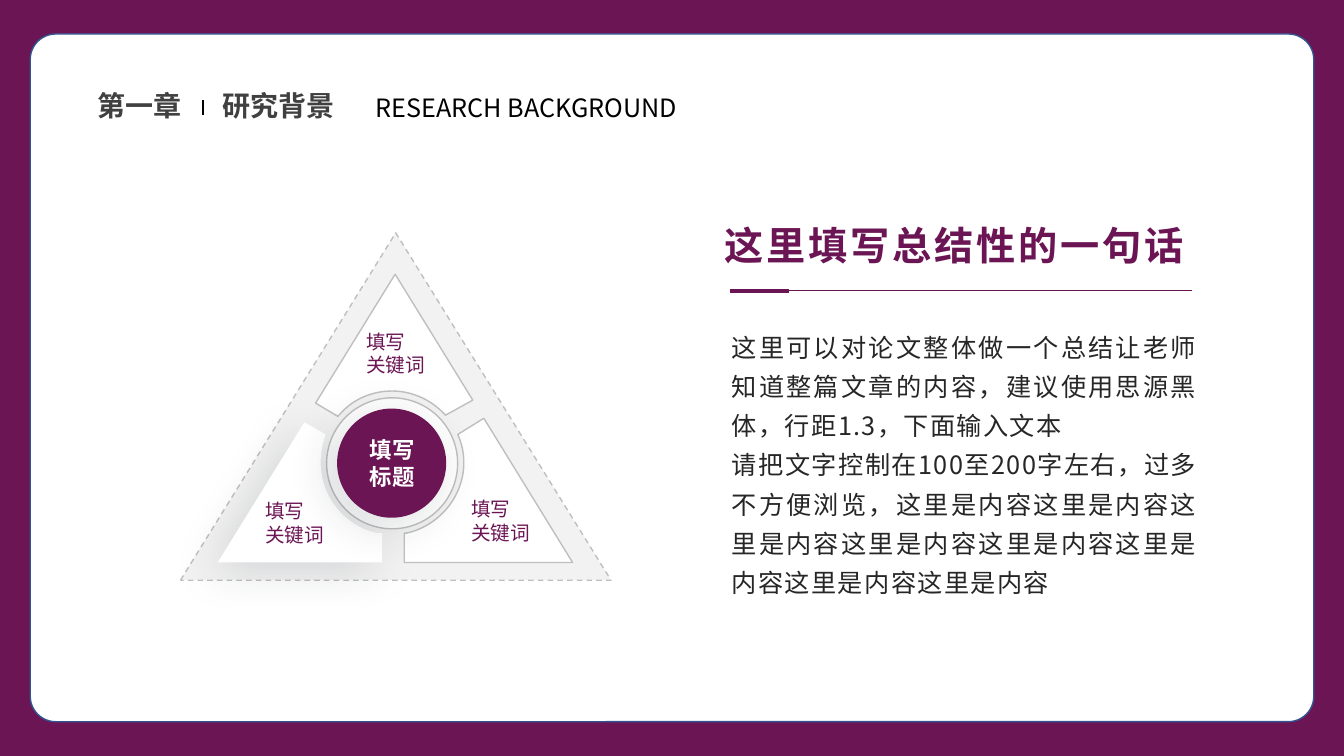
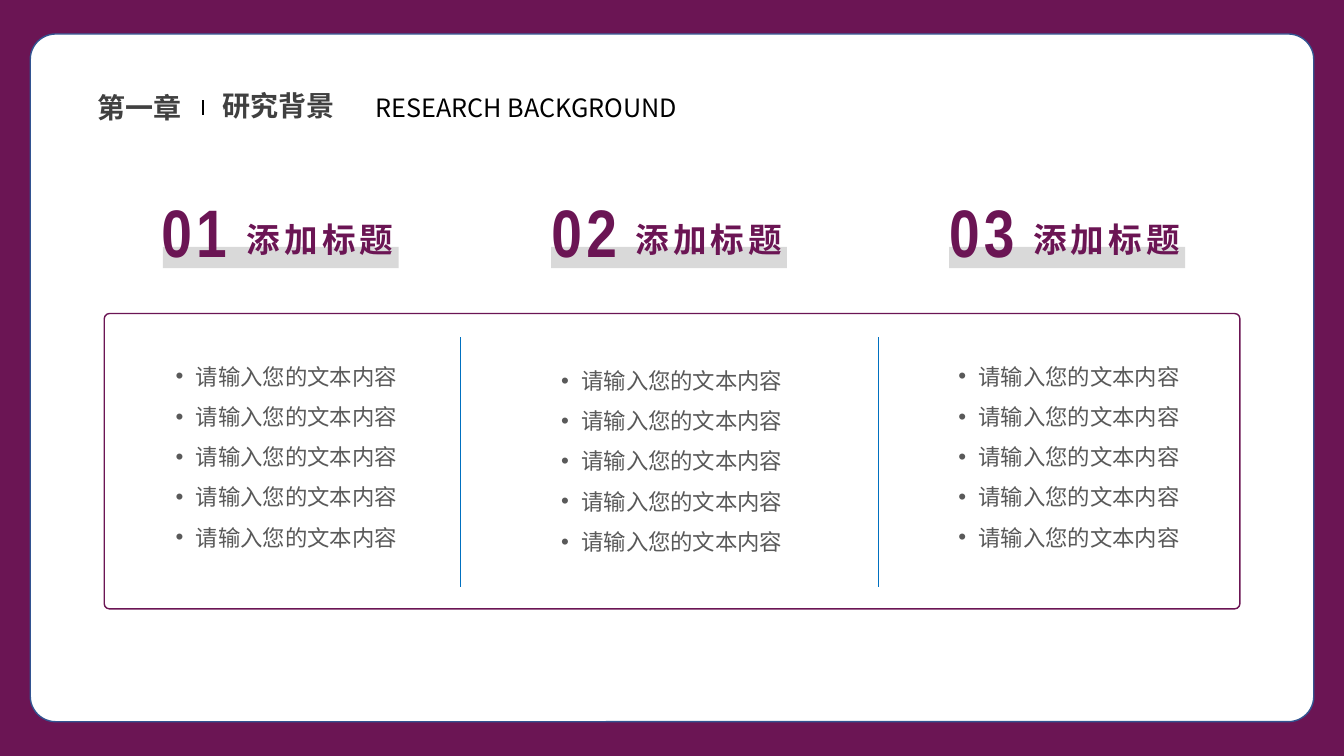
from dataclasses import dataclass
from typing import NamedTuple

from lxml.etree import SubElement
from pptx import Presentation
from pptx.dml.color import RGBColor
from pptx.enum.dml import MSO_LINE_DASH_STYLE as Dash
from pptx.enum.shapes import MSO_CONNECTOR, MSO_SHAPE as Preset
from pptx.enum.text import MSO_AUTO_SIZE as AutoSize, PP_ALIGN as Align
from pptx.oxml.ns import qn
from pptx.util import Inches, Pt

WIDTH, HEIGHT = Inches(13.33), Inches(7.5)
PLUM, WHITE, BLACK, BLUE = "6B1554", "FFFFFF", "000000", "0070C0"
CARD_LINE, LIGHT, SILVER, BAND = "325491", "F2F2F2", "BFBFBF", "D9D9D9"
CHARCOAL, INK, GRAY, SHADOW = "404040", "262626", "595959", "222A35"
SANS, NARROW = "Noto Sans CJK SC", "Arial Narrow"


class Point(NamedTuple):
    """A place in percent of the slide's width and height."""
    x: float
    y: float


class Curve(NamedTuple):
    """A Bezier segment: two control points and its end."""
    leave: Point
    arrive: Point
    end: Point


class Box(NamedTuple):
    """A frame in percent of the slide's width and height."""
    left: float
    top: float
    width: float
    height: float


@dataclass(frozen=True)
class TextStyle:
    size: float
    color: str
    bold: bool = False
    font: str = SANS
    spacing: float = 0
    line_spacing: float = 1
    align: Align = Align.LEFT
    bullet: bool = False
    wrap: bool = False
    margins: bool = True


@dataclass(frozen=True)
class Wedge:
    start: Point
    segments: tuple[Point | Curve, ...]
    outlined: bool = True


@dataclass(frozen=True)
class Column:
    number: str
    number_left: float
    title_left: float
    band_left: float
    list_left: float
    list_top: float


CHAPTER = TextStyle(20, CHARCOAL, bold=True)
ENGLISH = TextStyle(18, BLACK, align=Align.JUSTIFY, wrap=True)
HUB = TextStyle(16, WHITE, bold=True, align=Align.JUSTIFY)
KEYWORD = TextStyle(14, PLUM)
SUMMARY = TextStyle(28, PLUM, bold=True, spacing=2, wrap=True)
BODY = TextStyle(18, INK, spacing=1, line_spacing=1.3, align=Align.JUSTIFY, wrap=True)
NUMBER = TextStyle(48, PLUM, bold=True, font=NARROW, spacing=3, margins=False)
COLUMN_TITLE = TextStyle(24, PLUM, bold=True, spacing=3, margins=False)
BULLETS = TextStyle(16, GRAY, line_spacing=1.5, align=Align.CENTER,
                    bullet=True, wrap=True, margins=False)

WEDGES = (
    Wedge(Point(29.4, 36.27), (
        Point(35.18, 52.93), Point(33.15, 54.93), Point(32.93, 54.53),
        Curve(Point(31.96, 52.8), Point(30.61, 51.73), Point(29.18, 51.73)),
        Curve(Point(27.68, 51.73), Point(26.33, 52.8), Point(25.43, 54.53)),
        Point(25.13, 55.07), Point(23.48, 53.33))),
    Wedge(Point(22.65, 55.87), (
        Point(24.23, 57.47),
        Curve(Point(24, 58.67), Point(23.86, 59.87), Point(23.86, 61.2)),
        Curve(Point(23.86, 65.73), Point(25.66, 69.6), Point(28.06, 70.53)),
        Point(28.43, 70.53), Point(28.43, 74.4), Point(16.2, 74.4)), outlined=False),
    Wedge(Point(36, 55.33), (
        Point(42.6, 74.4), Point(30.08, 74.4), Point(30.08, 70.53), Point(30.23, 70.53),
        Curve(Point(32.63, 69.6), Point(34.51, 65.73), Point(34.51, 61.2)),
        Curve(Point(34.51, 59.87), Point(34.36, 58.67), Point(34.06, 57.47)))),
)
KEYWORD_PLACES = (Point(26.5, 42.95), Point(34.32, 65.12), Point(19.01, 65.38))
BODY_TEXT = (
    "这里可以对论文整体做一个总结让老师知道整篇文章的内容，建议使用思源黑体，行距1.3，下面输入文本",
    "请把文字控制在100至200字左右，过多不方便浏览，" + "这里是内容" * 8,
)
COLUMNS = (
    Column("01", 12, 18.35, 12.12, 10.32, 46.2),
    Column("02", 41.03, 47.28, 41, 39, 46.76),
    Column("03", 70.62, 76.88, 70.63, 68.55, 46.2),
)


def rgb(color: str) -> RGBColor:
    return RGBColor.from_string(color)


def across(share: float) -> int:
    return round(WIDTH * share / 100)


def down(share: float) -> int:
    return round(HEIGHT * share / 100)


def frame(box: Box) -> tuple[int, int, int, int]:
    return across(box.left), down(box.top), across(box.width), down(box.height)


def paint(shape, fill: str, line: str | None = None) -> None:
    shape.shadow.inherit = False
    shape.fill.solid()
    shape.fill.fore_color.rgb = rgb(fill)
    if line:
        shape.line.color.rgb = rgb(line)
        shape.line.width = Pt(1)
    else:
        shape.line.fill.background()


def add_preset(shapes, preset: Preset, box: Box, fill: str,
               line: str | None = None, corner: float | None = None):
    shape = shapes.add_shape(preset, *frame(box))
    paint(shape, fill, line)
    if corner is not None:
        shape.adjustments[0] = corner
    return shape


def cast_shadow(shape) -> None:
    """Give the shape a soft shadow towards the lower left."""
    effects = shape._element.spPr.find(qn("a:effectLst"))
    shadow = SubElement(effects, qn("a:outerShdw"), blurRad=str(Pt(32)),
                        dist=str(Pt(8)), dir=str(135 * 60000), rotWithShape="0")
    color = SubElement(shadow, qn("a:srgbClr"), val=SHADOW)
    SubElement(color, qn("a:alpha"), val="15000")


def add_line(slide, start: Point, end: Point, color: str, weight: float) -> None:
    line = slide.shapes.add_connector(MSO_CONNECTOR.STRAIGHT, across(start.x),
                                      down(start.y), across(end.x), down(end.y))
    line.line.color.rgb = rgb(color)
    line.line.width = Pt(weight)
    SubElement(line._element.spPr, qn("a:effectLst"))


def style_paragraph(paragraph, style: TextStyle) -> None:
    paragraph.alignment = style.align
    paragraph.line_spacing = style.line_spacing
    font = paragraph.font
    font.name, font.size, font.bold = style.font, Pt(style.size), style.bold
    font.color.rgb = rgb(style.color)
    properties = paragraph._p.pPr
    defaults = properties.find(qn("a:defRPr"))
    defaults.set("spc", str(round(style.spacing * 100)))
    SubElement(defaults, qn("a:ea"), typeface=style.font)
    if style.bullet:
        properties.set("marL", str(Inches(0.31)))
        properties.set("indent", str(Inches(-0.2)))
        for tag, attributes in (("a:buFont", {"typeface": "Arial"}),
                                ("a:buChar", {"char": "•"})):
            defaults.addprevious(SubElement(properties, qn(tag), attributes))


def add_text(slide, box: Box, style: TextStyle, *lines: str) -> None:
    text_frame = slide.shapes.add_textbox(*frame(box)).text_frame
    text_frame.word_wrap = style.wrap
    text_frame.auto_size = AutoSize.SHAPE_TO_FIT_TEXT
    if not style.margins:
        text_frame.margin_left = text_frame.margin_right = 0
        text_frame.margin_top = text_frame.margin_bottom = 0
    text_frame.text = "\n".join(lines)
    for paragraph in text_frame.paragraphs:
        style_paragraph(paragraph, style)


def add_base(presentation):
    """Add a blank slide with the plum border and the white card."""
    slide = presentation.slides.add_slide(presentation.slide_layouts[6])
    add_preset(slide.shapes, Preset.RECTANGLE, Box(0, 0, 100, 100), PLUM)
    add_preset(slide.shapes, Preset.ROUNDED_RECTANGLE,
               Box(2.25, 4.5, 95.5, 90.97), WHITE, CARD_LINE, 0.037)
    return slide


def add_header(slide, chapter_top: float = 11.07) -> None:
    add_text(slide, Box(6.53, chapter_top, 7.8, 5.87), CHAPTER, "第一章")
    add_text(slide, Box(15.83, 11.07, 9.9, 5.87), CHAPTER, "研究背景")
    add_text(slide, Box(27.23, 11.6, 30.45, 5.33), ENGLISH, "RESEARCH BACKGROUND")
    add_line(slide, Point(15.08, 13.27), Point(15.08, 15.2), BLACK, 1.5)


def bend(shape, segments: tuple[Point | Curve, ...]) -> None:
    """Turn the straight sides that stand for curves into Bezier segments."""
    sides = list(shape._element.iter(qn("a:lnTo")))
    for side, segment in zip(sides, segments):
        if isinstance(segment, Curve):
            side.tag = qn("a:cubicBezTo")
            side.clear()
            for point in segment:
                SubElement(side, qn("a:pt"), x=str(across(point.x) - shape.left),
                           y=str(down(point.y) - shape.top))


def add_wedge(shapes, wedge: Wedge) -> None:
    corners = [segment.end if isinstance(segment, Curve) else segment
               for segment in wedge.segments]
    builder = shapes.build_freeform(across(wedge.start.x), down(wedge.start.y))
    builder.add_line_segments([(across(corner.x), down(corner.y)) for corner in corners])
    shape = builder.convert_to_shape()
    bend(shape, wedge.segments)
    paint(shape, WHITE, SILVER if wedge.outlined else None)
    if not wedge.outlined:
        cast_shadow(shape)


def add_triangle_diagram(slide) -> None:
    shapes = slide.shapes.add_group_shape().shapes
    triangle = add_preset(shapes, Preset.ISOSCELES_TRIANGLE,
                          Box(13.43, 30.8, 32.03, 45.95), LIGHT, SILVER)
    triangle.line.dash_style = Dash.DASH
    add_preset(shapes, Preset.OVAL, Box(24.3, 52.62, 9.75, 17.33), WHITE, SILVER)
    for wedge in WEDGES:
        add_wedge(shapes, wedge)
    cast_shadow(add_preset(shapes, Preset.OVAL, Box(25.08, 54.04, 8.12, 14.44), PLUM))
    add_text(slide, Box(26.78, 57.07, 4.88, 8.53), HUB, "填写", "标题")
    for place in KEYWORD_PLACES:
        add_text(slide, Box(*place, 5.93, 7.6), KEYWORD, "填写\v关键词")


def build_summary_slide(presentation) -> None:
    slide = add_base(presentation)
    add_header(slide)
    add_triangle_diagram(slide)
    add_text(slide, Box(53.7, 42.04, 36.15, 42.13), BODY, *BODY_TEXT)
    add_line(slide, Point(88.69, 38.4), Point(56.7, 38.4), PLUM, 0.5)
    add_line(slide, Point(58.73, 38.53), Point(54.3, 38.53), PLUM, 3)
    add_text(slide, Box(53.18, 28.6, 40.2, 7.6), SUMMARY, "这里填写总结性的一句话")


def add_column(slide, column: Column) -> None:
    add_text(slide, Box(column.list_left, column.list_top, 21.15, 26.4), BULLETS,
             *["请输入您的文本内容"] * 5)
    add_preset(slide.shapes, Preset.RECTANGLE,
               Box(column.band_left, 32.67, 17.55, 2.8), BAND)
    add_text(slide, Box(column.number_left, 25.13, 5.85, 10.8), NUMBER, column.number)
    add_text(slide, Box(column.title_left, 28.93, 11.33, 5.33), COLUMN_TITLE, "添加标题")


def build_columns_slide(presentation) -> None:
    slide = add_base(presentation)
    add_preset(slide.shapes, Preset.ROUNDED_RECTANGLE,
               Box(7.76, 41.47, 84.5, 39.07), WHITE, PLUM, 0.018)
    for column in COLUMNS:
        add_column(slide, column)
    for divider in (34.28, 65.33):
        add_line(slide, Point(divider, 44.62), Point(divider, 77.6), BLUE, 0.5)
    add_header(slide, chapter_top=11.27)


def main() -> None:
    presentation = Presentation()
    presentation.slide_width, presentation.slide_height = WIDTH, HEIGHT
    build_summary_slide(presentation)
    build_columns_slide(presentation)
    presentation.save("out.pptx")


if __name__ == "__main__":
    main()
